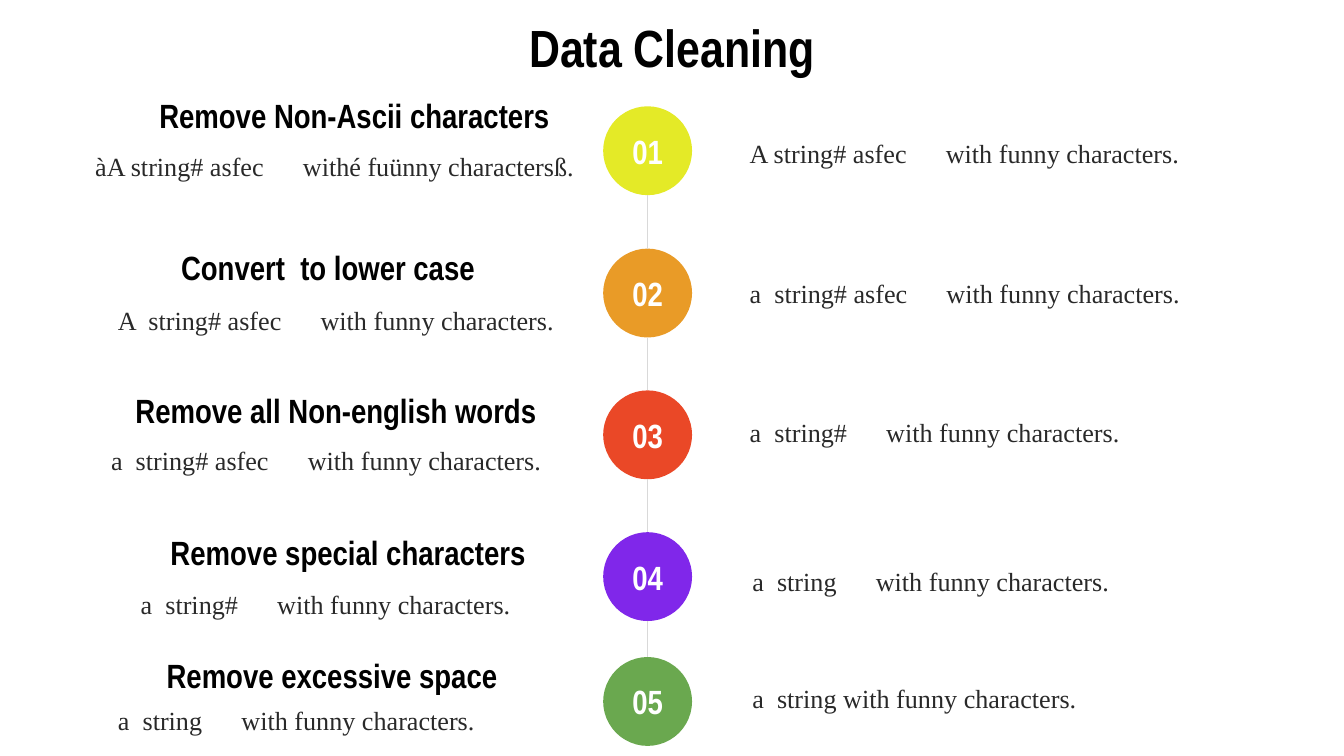
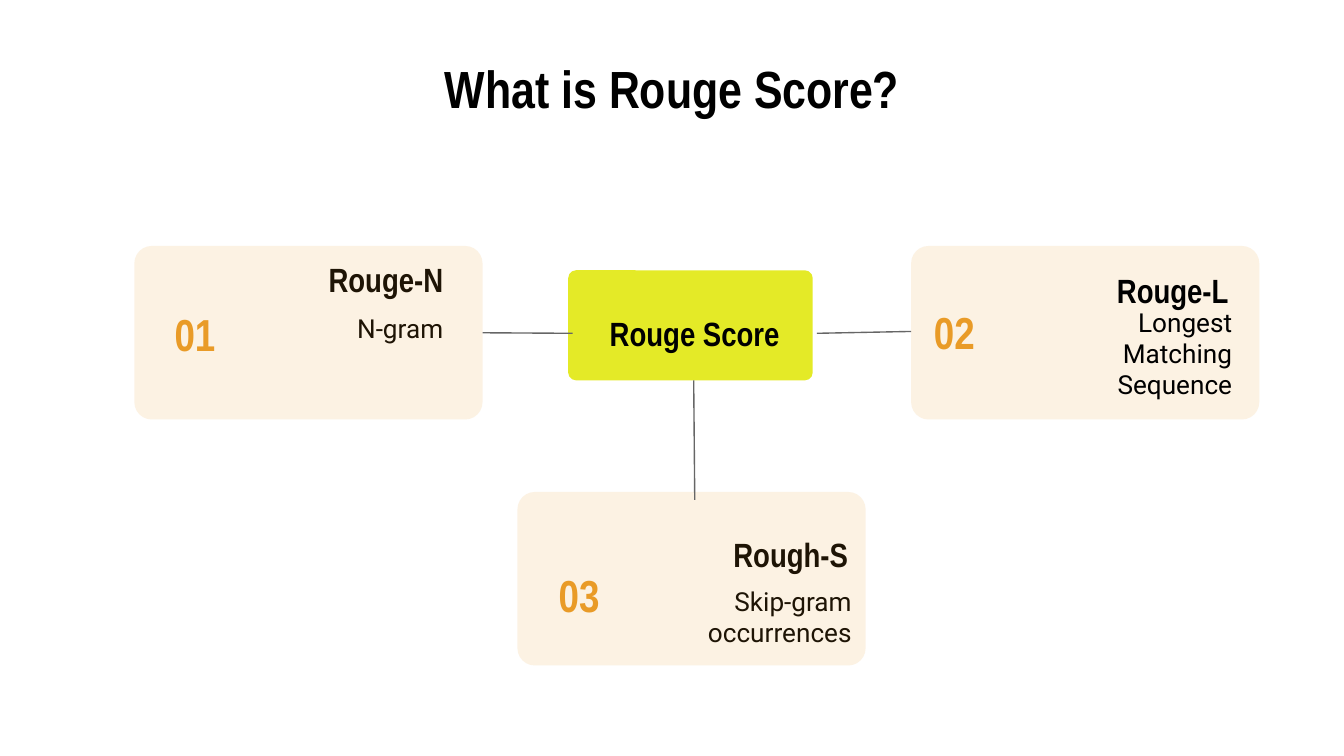
from lxml import etree
from pptx import Presentation
from pptx.dml.color import RGBColor
from pptx.enum import shapes, text
from pptx.oxml import ns
from pptx.util import Cm, Pt

BLACK = RGBColor(0x00, 0x00, 0x00)
WHITE = RGBColor(0xFF, 0xFF, 0xFF)
CHARCOAL = RGBColor(0x29, 0x29, 0x29)
GREY = RGBColor(0x66, 0x66, 0x66)
LIGHT_GREY = RGBColor(0xD9, 0xD9, 0xD9)
YELLOW = RGBColor(0xE4, 0xEA, 0x27)
ORANGE = RGBColor(0xE9, 0x9B, 0x27)
RED = RGBColor(0xEA, 0x48, 0x27)
PURPLE = RGBColor(0x80, 0x27, 0xEA)
GREEN = RGBColor(0x6A, 0xA8, 0x4F)

HEADING_FONT = "Arial Narrow"
CENTER = text.PP_ALIGN.CENTER
RIGHT = text.PP_ALIGN.RIGHT
JUSTIFY = text.PP_ALIGN.JUSTIFY
INSET = Cm(0.25)
STRAIGHT = shapes.MSO_CONNECTOR.STRAIGHT


def write(shape, words, size, color=BLACK, align=CENTER, font=HEADING_FONT):
    """Put one paragraph in the shape; the heading font is always bold."""
    frame = shape.text_frame
    frame.word_wrap = True
    frame.auto_size = text.MSO_AUTO_SIZE.NONE
    frame.vertical_anchor = text.MSO_ANCHOR.MIDDLE
    frame.margin_left = frame.margin_right = INSET
    frame.margin_top = frame.margin_bottom = INSET
    frame.text = words
    paragraph = frame.paragraphs[0]
    paragraph.alignment = align
    paragraph.font.name = font
    paragraph.font.size = Pt(size)
    paragraph.font.bold = font == HEADING_FONT
    paragraph.font.color.rgb = color
    return paragraph


def add_panel(slide, kind, box, color, corner=None, opacity=100):
    panel = slide.shapes.add_shape(kind, *map(Cm, box))
    panel.shadow.inherit = False
    panel.fill.solid()
    panel.fill.fore_color.rgb = color
    panel.line.fill.background()
    if corner is not None:
        panel.adjustments[0] = corner
    if opacity < 100:
        fill_color = next(panel.element.spPr.iter(ns.qn("a:srgbClr")))
        etree.SubElement(fill_color, ns.qn("a:alpha"), val=str(opacity * 1000))
    return panel


prs = Presentation()
prs.slide_width = Cm(25.4)
prs.slide_height = Cm(14.29)

slides = []
for heading, top in [("Data Cleaning", 0.36), ("What is Rouge Score?", 1.14)]:
    slide = prs.slides.add_slide(prs.slide_layouts[5])
    title = slide.shapes.title
    title.left, title.top, title.width, title.height = map(Cm, (1.27, top, 22.86, 1.04))
    write(title, heading, 28)
    slides.append(slide)
cleaning, rouge = slides
links = []

# Data Cleaning: step heading, text before on the left, text after on the right
STEP_SIZE = 1.68
STEP_LEFT = 11.4
STEP_MIDDLE = STEP_LEFT + STEP_SIZE / 2
steps = [
    (YELLOW, 2.01,
     "Remove Non-Ascii characters", (2.18, 1.73, 9.04, 0.91),
     "àA string# asfec      withé fuünny charactersß.", (1.55, 2.64, 9.6, 0.91),
     "A string# asfec      with funny characters.", (13.92, 2.39, 9.98, 0.91)),
    (ORANGE, 4.7,
     "Convert  to lower case", (1.55, 4.6, 9.3, 0.91),
     "A  string# asfec      with funny characters.", (1.98, 5.56, 8.86, 0.91),
     "a  string# asfec      with funny characters.", (13.92, 5.05, 8.86, 0.91)),
    (RED, 7.38,
     "Remove all Non-english words", (1.55, 7.29, 9.6, 0.91),
     "a  string# asfec      with funny characters.", (1.85, 8.2, 9.02, 0.91),
     "a  string#      with funny characters.", (13.92, 7.67, 9.02, 0.91)),
    (PURPLE, 10.06,
     "Remove special characters", (2.16, 9.98, 8.84, 0.91),
     "a  string#      with funny characters.", (2.41, 10.92, 8.59, 0.91),
     "a  string      with funny characters.", (13.97, 10.49, 8.59, 0.91)),
    (GREEN, 12.42,
     "Remove excessive space", (1.98, 12.42, 8.59, 0.69),
     "a  string      with funny characters.", (1.98, 13.11, 8.59, 0.91),
     "a  string with funny characters.", (13.97, 12.7, 8.59, 0.91)),
]
previous_bottom = None
for number, (color, top, heading, heading_box, before, before_box,
             after, after_box) in enumerate(steps, 1):
    step = add_panel(cleaning, shapes.MSO_SHAPE.OVAL,
                     (STEP_LEFT, top, STEP_SIZE, STEP_SIZE), color)
    write(step, f"{number:02}", 18, WHITE)
    write(cleaning.shapes.add_textbox(*map(Cm, heading_box)), heading, 18)
    for example, box in [(before, before_box), (after, after_box)]:
        paragraph = write(cleaning.shapes.add_textbox(*map(Cm, box)), example, 14,
                          CHARCOAL, JUSTIFY, "Times New Roman")
        paragraph.line_spacing = 1.15
    if previous_bottom is not None:
        link = cleaning.shapes.add_connector(
            STRAIGHT, Cm(STEP_MIDDLE), Cm(previous_bottom), Cm(STEP_MIDDLE), Cm(top))
        link.end_connect(step, 0)
        links.append((link, LIGHT_GREY))
    previous_bottom = top + STEP_SIZE

# Rouge Score: a hub with three cards; two of the cards veil their text
ROUNDED = shapes.MSO_SHAPE.ROUNDED_RECTANGLE
add_panel(rouge, ROUNDED, (10.74, 5.11, 4.62, 2.08), YELLOW, 0.07)
hub = rouge.shapes.add_textbox(Cm(10.82), Cm(5.26), Cm(4.62), Cm(2.08))
write(hub, "Rouge Score", 18)

variants = [
    ("03", (9.78, 9.3), (10.26, 9.75, 1.37, 2.97), "Rough-S", (12.37, 10.01),
     "Skip-gram occurrences", (12.01, 11.2), True),
    ("01", (2.54, 4.65), (3, 4.83, 1.37, 2.97), "Rouge-N", (4.72, 4.83),
     "N-gram", (4.29, 5.74), True),
    ("02", (17.22, 4.65), (17.22, 4.78, 1.63, 2.97), "Rouge-L", (19.56, 5.03),
     "Longest Matching Sequence", (19.2, 6.22), False),
]
cards, numerals = {}, {}
for (number, corner, number_box, name, name_corner,
     meaning, meaning_corner, veiled) in variants:
    card_look = (rouge, ROUNDED, (*corner, 6.58, 3.28), ORANGE, 0.1, 13)
    if not veiled:
        cards[number] = add_panel(*card_look)
    numerals[number] = rouge.shapes.add_textbox(*map(Cm, number_box))
    write(numerals[number], number, 24, ORANGE)
    write(rouge.shapes.add_textbox(*map(Cm, (*meaning_corner, 4.34, 0.91))),
          meaning, 14, BLACK, RIGHT, "Roboto")
    write(rouge.shapes.add_textbox(*map(Cm, (*name_corner, 3.91, 0.91))),
          name, 18, BLACK, RIGHT)
    if veiled:
        cards[number] = add_panel(*card_look)

for hub_side, target, target_side in [(1, cards["01"], 3), (3, numerals["02"], 1)]:
    link = rouge.shapes.add_connector(STRAIGHT, 0, 0, 0, 0)
    link.begin_connect(hub, hub_side)
    link.end_connect(target, target_side)
    links.append((link, GREY))
links.append((rouge.shapes.add_connector(
    STRAIGHT, Cm(13.13), Cm(9.45), Cm(13.11), Cm(7.19)), GREY))

for link, color in links:
    link.line.color.rgb = color
    link.line.width = Pt(0.75)
    etree.SubElement(link.element.spPr, ns.qn("a:effectLst"))

prs.save("out.pptx")
